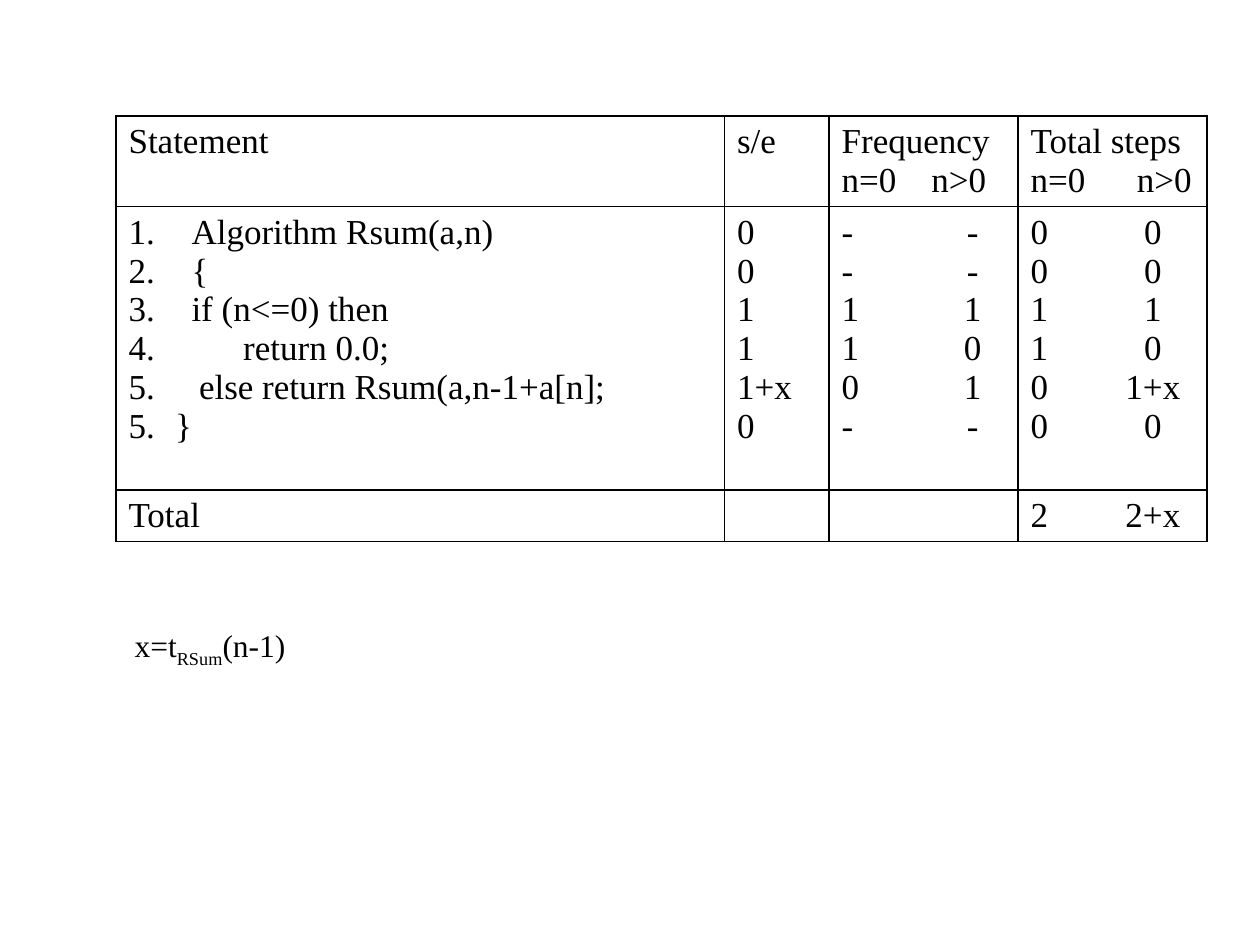
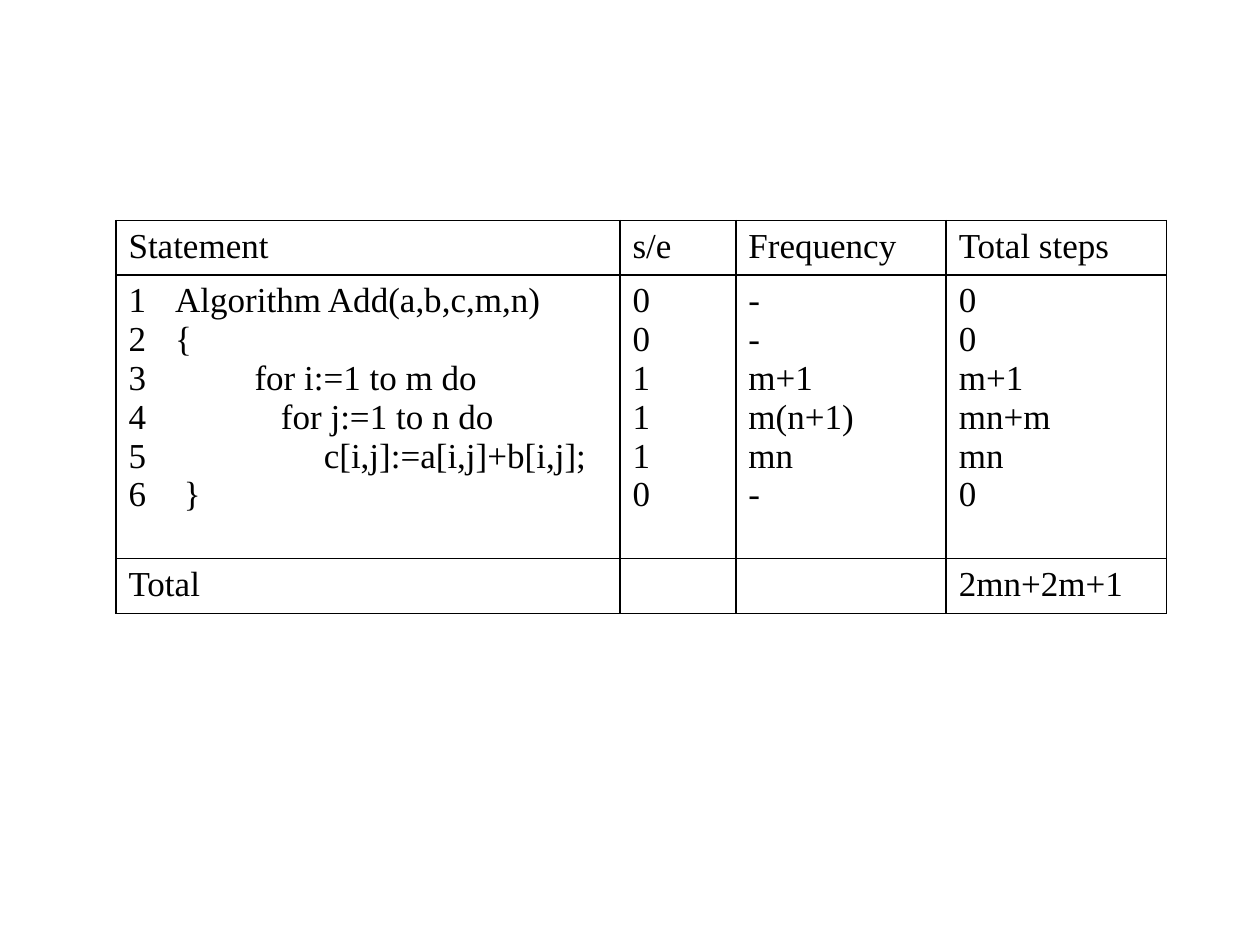
from lxml.etree import SubElement as Sub, Element
from pptx import Presentation
from pptx.dml.color import RGBColor as Rgb
from pptx.oxml.ns import qn
from pptx.util import Inches, Pt

FONT = "Times New Roman"
COLOR = {"ink": "000000"}
PAD = 0.1
LINE = Pt(1)

RSUM = {
    "at": (0.92, 0.92),
    "cols": (4.83, 0.83, 1.5, 1.5),
    "rows": (0.72, 2.25, 0.41),
    "style": "arabicPeriod",
    "tabs": {(0, 2): 0.93, (0, 3): 1.06, (1, 2): 1.04, (1, 3): 0.97, (2, 3): 0.97},
    "head": ("Statement", "s/e", "Frequency\nn=0\tn>0", "Total steps\nn=0\tn>0"),
    "code": [
        (1, 0.5, "Algorithm Rsum(a,n)"),
        (2, 0.5, "{"),
        (3, 0.5, "if (n<=0) then"),
        (4, 0.91, "return 0.0;"),
        (4, 0.56, "else return Rsum(a,n-1+a[n];"),
        (5, 0.37, "}"),
    ],
    "steps": [
        ("0", "-\t-", "0\t0"),
        ("0", "-\t-", "0\t0"),
        ("1", "1\t1", "1\t1"),
        ("1", "1\t0", "1\t0"),
        ("1+x", "0\t1", "0\t1+x"),
        ("0", "-\t-", "0\t0"),
    ],
    "total": "2\t2+x",
}
ADD = {
    "at": (0.92, 1.75),
    "cols": (4, 0.92, 1.67, 1.75),
    "rows": (0.41, 2.25, 0.41),
    "style": "arabicPlain",
    "tabs": {},
    "head": ("Statement", "s/e", "Frequency", "Total steps"),
    "code": [
        (1, 0.37, "Algorithm Add(a,b,c,m,n)"),
        (2, 0.37, "{"),
        (3, 1, "for i:=1 to m do"),
        (4, 1.21, "for j:=1 to n do"),
        (5, 1.55, "c[i,j]:=a[i,j]+b[i,j];"),
        (6, 0.44, "}"),
    ],
    "steps": [
        ("0", "-", "0"),
        ("0", "-", "0"),
        ("1", "m+1", "m+1"),
        ("1", "m(n+1)", "mn+m"),
        ("1", "mn", "mn"),
        ("0", "-", "0"),
    ],
    "total": "2mn+2m+1",
}
NOTE = {"at": (0.97, 4.92, 1.83, 0.4), "runs": [("x=t", 0), ("RSum", -25000), ("(n-1)", 0)]}


def style(font, size):
    font.name = FONT
    font.size = Pt(size)
    font.color.rgb = Rgb.from_string(COLOR["ink"])


def number(par, kind, start, indent):
    props = par._p.get_or_add_pPr()
    props.set("marL", str(Inches(indent)))
    props.set("indent", str(-Inches(indent)))
    Sub(props, qn("a:buFont"), typeface=FONT)
    Sub(props, qn("a:buAutoNum"), type=kind, startAt=str(start))


def add_tab(par, pos):
    tabs = Sub(par._p.get_or_add_pPr(), qn("a:tabLst"))
    Sub(tabs, qn("a:tab"), pos=str(Inches(pos)), algn="ctr")


def border(cell):
    cell.fill.background()
    props = cell._tc.get_or_add_tcPr()
    for i, side in enumerate("LRTB"):
        edge = Element(qn(f"a:ln{side}"), w=str(LINE))
        fill = Sub(edge, qn("a:solidFill"))
        Sub(fill, qn("a:srgbClr"), val=COLOR["ink"])
        props.insert(i, edge)


def add_grid(slide, data):
    code = "\n".join(text for _, _, text in data["code"])
    body = ["\n".join(col) for col in zip(*data["steps"])]
    texts = [data["head"], [code, *body], ["Total", "", "", data["total"]]]
    cols, rows = data["cols"], data["rows"]
    x, y = data["at"]
    table = slide.shapes.add_table(
        len(rows), len(cols), Inches(x), Inches(y),
        Inches(sum(cols)), Inches(sum(rows))).table
    table.first_row = table.horz_banding = False
    for col, width in zip(table.columns, cols):
        col.width = Inches(width)
    for row, height in zip(table.rows, rows):
        row.height = Inches(height)
    for r, line in enumerate(texts):
        for c, text in enumerate(line):
            cell = table.cell(r, c)
            cell.text_frame.text = text
            cell.margin_left = cell.margin_right = Inches(PAD)
            border(cell)
            pars = cell.text_frame.paragraphs
            if (r, c) == (1, 0):
                for par, (start, indent, _) in zip(pars, data["code"]):
                    number(par, data["style"], start, indent)
            for par in pars:
                if (r, c) in data["tabs"]:
                    add_tab(par, data["tabs"][r, c])
                style(par.font, 20)
                for run in par.runs:
                    style(run.font, 20)


def add_note(slide):
    box = slide.shapes.add_textbox(*map(Inches, NOTE["at"]))
    box.text_frame.word_wrap = True
    par = box.text_frame.paragraphs[0]
    for text, base in NOTE["runs"]:
        run = par.add_run()
        run.text = text
        style(run.font, 18)
        if base:
            run._r.get_or_add_rPr().set("baseline", str(base))


def main():
    deck = Presentation()
    deck.slide_width, deck.slide_height = Inches(10), Inches(7.5)
    first, second = [deck.slides.add_slide(deck.slide_layouts[6]) for _ in range(2)]
    add_grid(first, RSUM)
    add_note(first)
    add_grid(second, ADD)
    deck.save("out.pptx")


if __name__ == "__main__":
    main()
